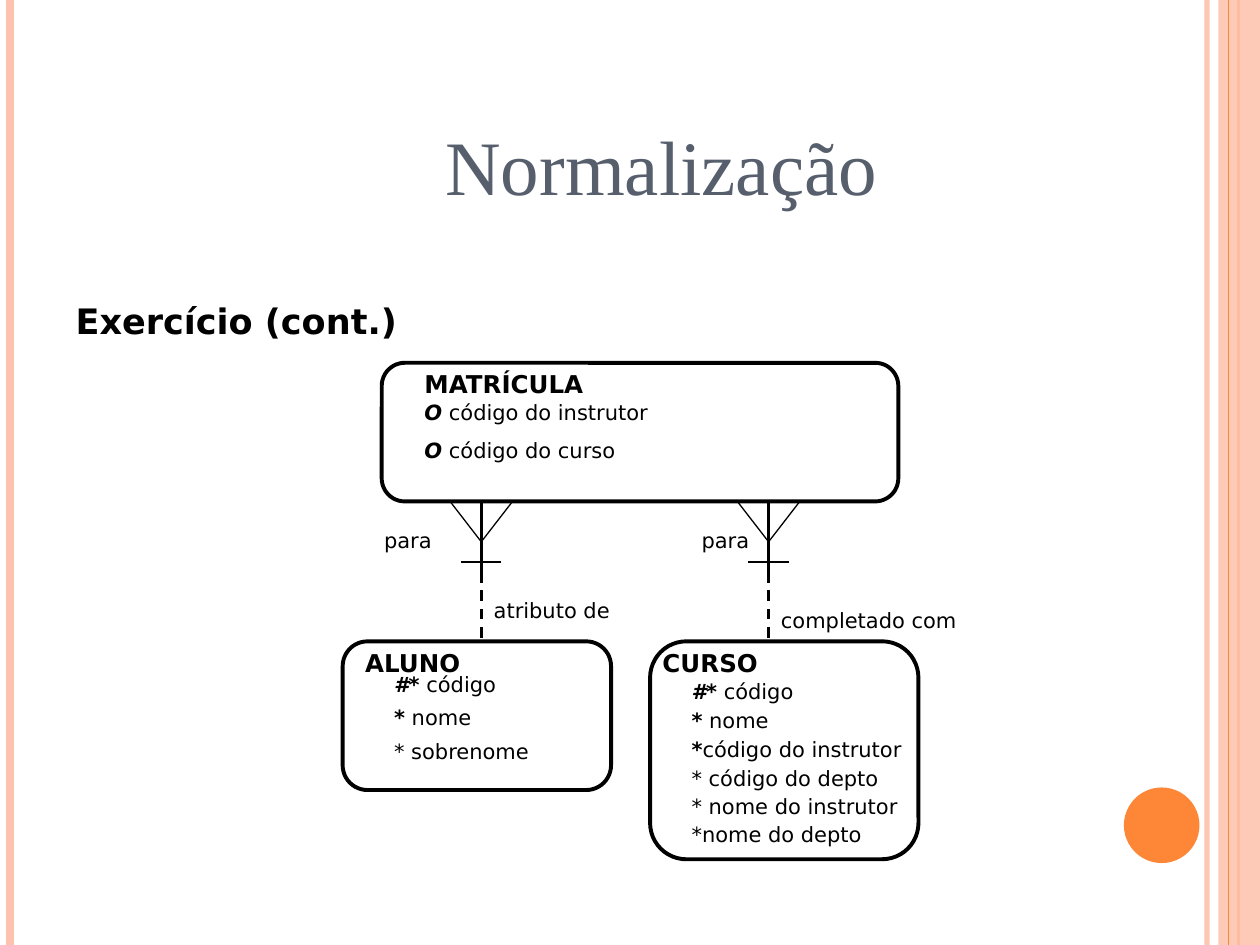
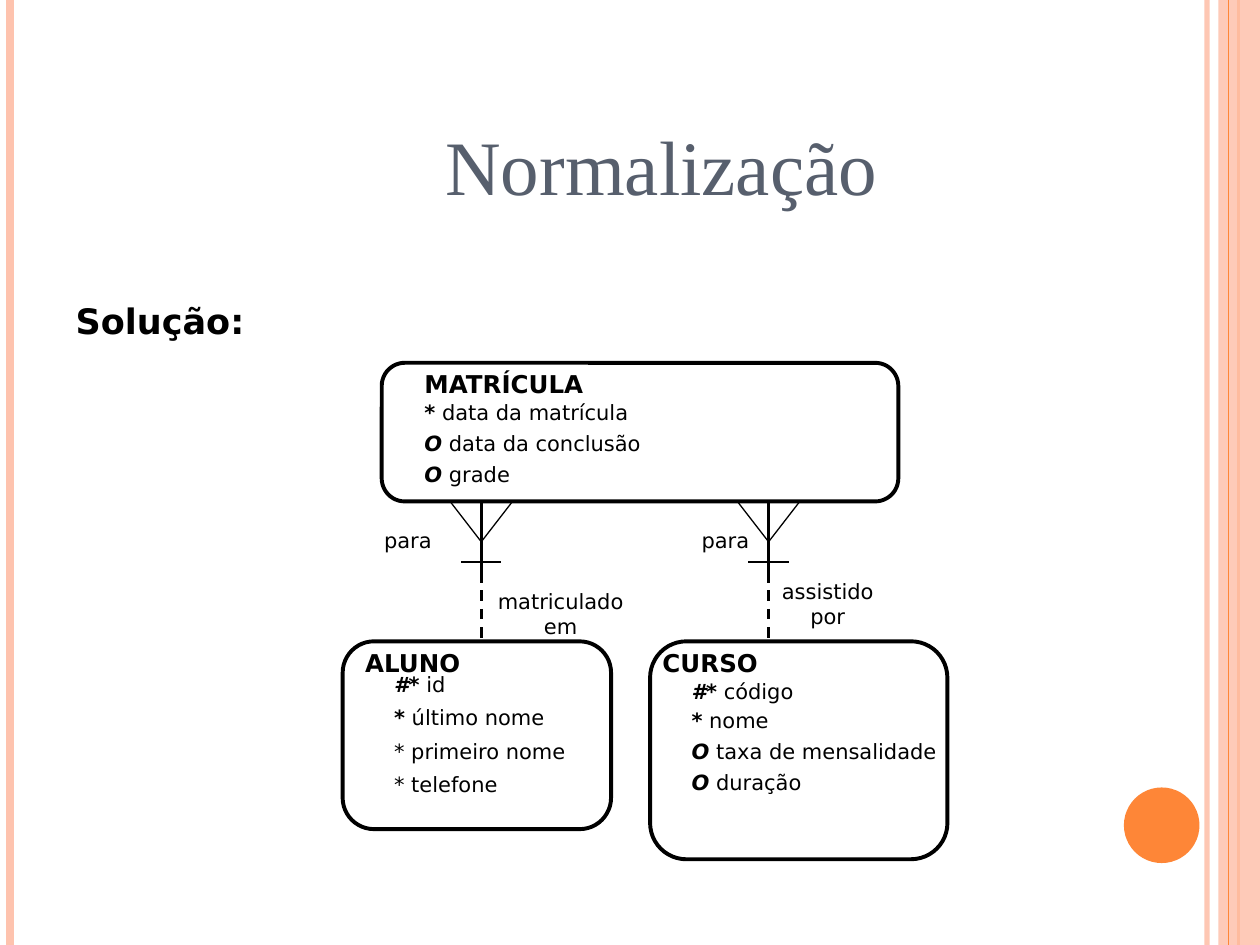
from dataclasses import dataclass

from lxml import etree
from pptx import Presentation
from pptx.dml.color import RGBColor
from pptx.enum.dml import MSO_LINE
from pptx.enum.shapes import MSO_CONNECTOR, MSO_SHAPE
from pptx.enum.text import MSO_ANCHOR, MSO_AUTO_SIZE, PP_ALIGN
from pptx.oxml.ns import qn
from pptx.util import Inches, Pt

STRAIGHT = MSO_CONNECTOR.STRAIGHT
DASH = MSO_LINE.DASH
ENTITY_SHAPE = MSO_SHAPE.FLOWCHART_ALTERNATE_PROCESS
RECTANGLE, OVAL = MSO_SHAPE.RECTANGLE, MSO_SHAPE.OVAL
TOP = MSO_ANCHOR.TOP
NO_FIT, GROW = MSO_AUTO_SIZE.NONE, MSO_AUTO_SIZE.SHAPE_TO_FIT_TEXT
LEFT, CENTER = PP_ALIGN.LEFT, PP_ALIGN.CENTER


@dataclass(frozen=True)
class Theme:
    peach: str = "FEC3AE"
    orange: str = "FE8637"
    slate: str = "575F6D"
    black: str = "000000"
    title_font: str = "Times New Roman"
    body_font: str = "DejaVu Sans"
    title_size: float = 44
    heading_size: float = 20
    entity_size: float = 14
    text_size: float = 12
    paragraph_gap: float = 7.5


THEME = Theme()

# Content: attributes are (line spacing, marker, marker style, name);
# style "b" is bold and "i" is italic
TITLE = "Normalização"
SLIDES = [
    {
        "heading": "Exercício (cont.)",
        "entities": {
            "MATRÍCULA": ((3.03, 2.88, 4.1, 1.1), [
                (1, "O", "bi", " código do instrutor"),
                (1, "O", "bi", " código do curso"),
            ]),
            "ALUNO": ((2.72, 5.09, 2.13, 1.18), [
                (0.8, "#*", "bi", " código"),
                (0.8, "*", "b", " nome"),
                (0.8, "*", "", " sobrenome"),
            ]),
            "CURSO": ((5.16, 5.09, 2.13, 1.73), [
                (0.4, "#*", "bi", " código"),
                (0.7, "*", "b", " nome"),
                (0.6, "*", "b", "código do instrutor"),
                (0.6, "*", "", " código do depto"),
                (0.6, "*", "", " nome do instrutor"),
                (0.6, "*", "", "nome do depto"),
            ]),
        },
        "relations": [
            ("atributo de", (3.82, 4.69, 1.57, 0.3), LEFT),
            ("completado com", (6.1, 4.77, 1.97, 0.3), LEFT),
        ],
    },
    {
        "heading": "Solução:",
        "entities": {
            "MATRÍCULA": ((3.03, 2.88, 4.1, 1.1), [
                (1, "*", "bi", " data da matrícula"),
                (0.7, "O", "bi", " data da conclusão"),
                (0.7, "O", "bi", " grade"),
            ]),
            "ALUNO": ((2.72, 5.09, 2.13, 1.49), [
                (0.8, "#*", "bi", " id"),
                (0.8, "*", "b", " último nome"),
                (0.8, "*", "", " primeiro nome"),
                (0.8, "*", "", " telefone"),
            ]),
            "CURSO": ((5.16, 5.09, 2.36, 1.73), [
                (0.4, "#*", "bi", " código"),
                (0.7, "*", "b", " nome"),
                (0.7, "O", "bi", " taxa de mensalidade"),
                (0.7, "O", "bi", " duração"),
            ]),
        },
        "relations": [
            ("matriculado em", (3.82, 4.62, 1.26, 0.5), CENTER),
            ("assistido por", (6.1, 4.54, 0.94, 0.5), CENTER),
        ],
    },
]

# Places of entity names and attribute lists
NAME_BOXES = {
    "MATRÍCULA": (3.27, 2.88, 1.57, 0.34),
    "ALUNO": (2.8, 5.09, 1.73, 0.34),
    "CURSO": (5.16, 5.09, 1.97, 0.34),
}
ATTRIBUTE_BOXES = {
    "MATRÍCULA": (3.27, 3.12, 2.05, 0.61),
    "ALUNO": (3.03, 5.32, 1.73, 0.79),
    "CURSO": (5.39, 5.44, 2.28, 1.32),
}
RELATION_CENTERS = (3.82, 6.1)
PARA_LEFTS = (2.95, 5.47)
RELATION_TOP, RELATION_BOTTOM = 3.99, 5.09

# Frame lines: x, colour, width, opacity
FRAME_LINES = [
    (9.58, THEME.peach, 3, 93),
    (0.08, THEME.peach, 4.5, 100),
    (9.83, THEME.orange, 1.5, 100),
    (9.75, THEME.orange, 0.75, 100),
]


# Drawing helpers
def inches(box):
    return [Inches(value) for value in box]


def set_opacity(shape, percent):
    for color in shape.element.spPr.iter(qn("a:srgbClr")):
        etree.SubElement(color, qn("a:alpha"), val=str(percent * 1000))


def add_line(slide, start, end, width, color=THEME.black, dash=None):
    line = slide.shapes.add_connector(STRAIGHT, *inches(start + end))
    line.line.color.rgb = RGBColor.from_string(color)
    line.line.width = Pt(width)
    if dash:
        line.line.dash_style = dash
    etree.SubElement(line.element.spPr, qn("a:effectLst"))
    return line


def add_solid(slide, kind, box, color):
    shape = slide.shapes.add_shape(kind, *inches(box))
    shape.shadow.inherit = False
    shape.fill.solid()
    shape.fill.fore_color.rgb = RGBColor.from_string(color)
    shape.line.fill.background()
    return shape


def format_run(run, size, color=THEME.black, font=THEME.body_font, style=""):
    run.font.name = font
    run.font.size = Pt(size)
    run.font.color.rgb = RGBColor.from_string(color)
    run.font.bold = "b" in style
    run.font.italic = "i" in style


def add_text_frame(slide, box):
    text_frame = slide.shapes.add_textbox(*inches(box)).text_frame
    text_frame.word_wrap = True
    text_frame.auto_size = GROW
    return text_frame


def add_label(slide, text, box, size=THEME.text_size, style="", align=LEFT):
    paragraph = add_text_frame(slide, box).paragraphs[0]
    paragraph.text = text
    paragraph.alignment = align
    format_run(paragraph.runs[0], size, style=style)


def fill_placeholder(placeholder, text, box, size, **run_format):
    placeholder.left, placeholder.top, placeholder.width, placeholder.height = inches(box)
    text_frame = placeholder.text_frame
    text_frame.text = text
    text_frame.auto_size = NO_FIT
    text_frame.vertical_anchor = TOP
    paragraph = text_frame.paragraphs[0]
    paragraph.space_before = Pt(0)
    format_run(paragraph.runs[0], size, **run_format)
    return paragraph


# Slide parts
def add_frame(slide, layout):
    """Draw the side bands and move them to the shared layout."""
    parts = []
    for x, color, width, opacity in FRAME_LINES:
        line = add_line(slide, (x, 0), (x, 7.5), width, color)
        if opacity < 100:
            set_opacity(line, opacity)
        parts.append(line)
    band = add_solid(slide, RECTANGLE, (9.67, 0, 0.33, 7.5), THEME.peach)
    set_opacity(band, 87)
    parts.insert(3, band)
    parts.append(add_solid(slide, OVAL, (8.92, 6.25, 0.6, 0.6), THEME.orange))
    for part in parts:
        layout.shapes.element.append(part.element)


def add_headings(slide, heading):
    title = fill_placeholder(slide.shapes.title, TITLE, (0.75, 0.6, 9, 0.95),
                             THEME.title_size, color=THEME.slate, font=THEME.title_font)
    title.alignment = CENTER
    title.line_spacing = 1.4
    body = fill_placeholder(slide.placeholders[1], heading, (0.5, 2.33, 9, 0.47),
                            THEME.heading_size, style="b")
    properties = body._p.get_or_add_pPr()
    properties.set("marL", str(Inches(0.3)))
    properties.set("indent", str(Inches(-0.3)))
    etree.SubElement(properties, qn("a:buNone"))


def add_entity(slide, name, box, attributes):
    entity = slide.shapes.add_shape(ENTITY_SHAPE, *inches(box))
    entity.shadow.inherit = False
    entity.fill.background()
    entity.line.color.rgb = RGBColor.from_string(THEME.black)
    entity.line.width = Pt(2.25)
    add_label(slide, name, NAME_BOXES[name], THEME.entity_size, "b")

    text_frame = add_text_frame(slide, ATTRIBUTE_BOXES[name])
    for index, (spacing, marker, style, attribute) in enumerate(attributes):
        paragraph = text_frame.add_paragraph() if index else text_frame.paragraphs[0]
        paragraph.line_spacing = spacing
        if index:
            paragraph.space_before = Pt(THEME.paragraph_gap)
        for text, run_style in ((marker, style), (attribute, "")):
            run = paragraph.add_run()
            run.text = text
            format_run(run, THEME.text_size, style=run_style)


def add_crow_foot(slide, x):
    fork, bar, dash_top = RELATION_TOP + 0.31, RELATION_TOP + 0.47, RELATION_TOP + 0.55
    add_line(slide, (x, RELATION_TOP), (x, RELATION_TOP + 0.62), 1.5)
    add_line(slide, (x, dash_top), (x, RELATION_BOTTOM), 1.5, dash=DASH)
    for side in (-0.24, 0.24):
        add_line(slide, (x + side, RELATION_TOP), (x, fork), 0.75)
    add_line(slide, (x - 0.16, bar), (x + 0.16, bar), 0.75)


def main():
    presentation = Presentation()
    presentation.slide_width, presentation.slide_height = Inches(10), Inches(7.5)
    layout = presentation.slide_layouts[1]
    for number, content in enumerate(SLIDES):
        slide = presentation.slides.add_slide(layout)
        if number == 0:
            add_frame(slide, layout)
        add_headings(slide, content["heading"])
        for name, (box, attributes) in content["entities"].items():
            add_entity(slide, name, box, attributes)
        for x, para_left, (text, box, align) in zip(
                RELATION_CENTERS, PARA_LEFTS, content["relations"]):
            add_crow_foot(slide, x)
            add_label(slide, "para", (para_left, 4.14, 1.34, 0.3))
            add_label(slide, text, box, align=align)
    presentation.save("out.pptx")


if __name__ == "__main__":
    main()
